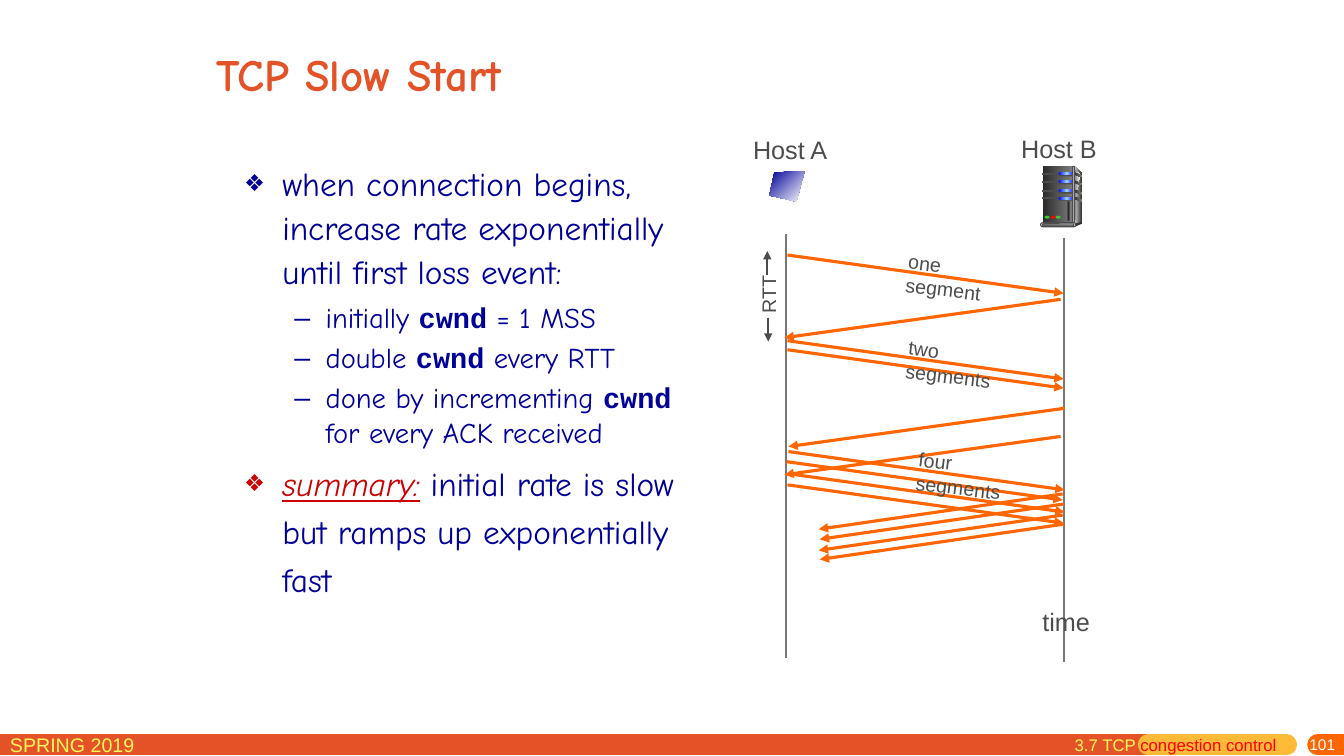
"""Build the TCP Slow Start slide with its host-to-host timing diagram."""
from lxml.etree import SubElement
from pptx import Presentation
from pptx.dml.color import RGBColor
from pptx.enum.shapes import MSO_CONNECTOR, MSO_SHAPE
from pptx.enum.text import MSO_ANCHOR, MSO_AUTO_SIZE, PP_ALIGN
from pptx.oxml.ns import qn
from pptx.util import Inches, Pt

ORANGE, RED_ORANGE, NAVY, RED = "FF6600", "E45327", "000099", "CC0000"
GRAY, DARK, YELLOW = "4C4C4C", "292929", "FFF65C"
HAND, CODE, SANS = "Comic Neue", "Courier New", "Arial"

PLAIN, CWND, SUMMARY = (HAND, NAVY, False), (CODE, NAVY, True), (HAND, RED, False)
POINTS = [
    (0, 1.1, [("when connection begins, increase rate exponentially "
               "until first loss event:", PLAIN)]),
    (1, 1.1, [("initially ", PLAIN), ("cwnd", CWND), (" = 1 MSS", PLAIN)]),
    (1, 1.0, [("double ", PLAIN), ("cwnd", CWND), (" every RTT", PLAIN)]),
    (1, 1.0, [("done by incrementing ", PLAIN), ("cwnd", CWND),
              (" for every ACK received", PLAIN)]),
    (0, 1.2, [("summary:", SUMMARY),
              (" initial rate is slow but ramps up exponentially fast", PLAIN)]),
]
LEVELS = [(23.8, 0.38, 0.38, "❖", 70), (20.4, 0.81, 0.31, "–", 100)]

FOOTER_BANDS = [(0, 11.39, RED_ORANGE, "flat"), (11.39, 12.76, "FFBA37", "rnd"),
                (13.07, 13.33, ORANGE, "rnd")]
LABELS = [
    ("Host A", 7.37, 1.28, 0.95, 0.4, 18, 0),
    ("Host B", 10.03, 1.27, 0.95, 0.4, 18, 0),
    ("time", 10.24, 5.97, 0.67, 0.4, 18, 0),
    ("RTT", 7.33, 2.75, 0.58, 0.33, 14, 270),
]
SEGMENT_LABELS = [("one segment", 8.91, 2.49, 1.32), ("two segments", 8.91, 3.35, 1.4),
                  ("four segments", 9.01, 4.46, 1.43)]
TIMELINES = [(7.8, 2.32), (10.55, 2.36)]
TIMELINE_LENGTH = 4.21
RTT_ARROWS = [(7.61, 2.73, -0.24), (7.62, 3.15, 0.24)]
SEGMENTS = [(7.81, 2.53), (7.81, 3.38), (7.81, 3.47), (7.82, 4.48), (7.8, 4.58),
            (7.82, 4.7), (7.81, 4.81)]
ACKS = [(10.52, 2.97), (10.56, 4.05), (10.52, 4.33)]
LAST_ACKS = [(10.54, 4.9), (10.55, 5), (10.54, 5.11), (10.55, 5.2)]
FLIGHTS = [(SEGMENTS, 2.74, 0.38), (ACKS, -2.74, 0.38), (LAST_ACKS, -2.42, 0.35)]

LAPTOP = [(7.98, 1.7), (7.68, 1.71), (7.63, 1.94), (7.9, 2)]
SERVER_SIDE = [(10.66, 1.65), (10.73, 1.72), (10.73, 2.2), (10.65, 2.22)]
SERVER_SHEEN = [(10.66, 1.69), (10.68, 1.7), (10.71, 1.73), (10.68, 1.93), (10.66, 2.21)]
SERVER_FOOT = [(10.66, 2.22), (10.66, 2.25), (10.73, 2.22), (10.73, 2.2)]
VENT = [(10.65, 0), (10.73, 0.03), (10.73, 0.05), (10.65, 0.02)]
TRAY_TOPS = [1.71, 1.79, 1.88, 1.95]
STATUS_LIGHTS = [(10.36, "33CC33"), (10.42, "FF0000"), (10.47, "33CC33")]
SHADE, EDGE = [DARK, "808080"], ["333333", "DDDDDD", "333333"]
BLUE_GLOW = ["0000FF", "99CCFF", "0000FF"]


def rgb(color):
    return RGBColor.from_string(color)


def paint(shape, fill, outline=None, angle=0):
    shape.shadow.inherit = False
    if isinstance(fill, str):
        shape.fill.solid()
        shape.fill.fore_color.rgb = rgb(fill)
    else:
        shape.fill.gradient()
        gradient = shape._element.spPr.find(qn("a:gradFill"))
        for child in list(gradient):
            gradient.remove(child)
        stops = SubElement(gradient, qn("a:gsLst"))
        for index, color in enumerate(fill):
            stop = SubElement(stops, qn("a:gs"), pos=str(100000 * index // (len(fill) - 1)))
            SubElement(stop, qn("a:srgbClr"), val=color)
        SubElement(gradient, qn("a:lin"), ang=str(angle * 60000), scaled="0")
    if outline:
        shape.line.color.rgb = rgb(outline)
        shape.line.width = Pt(0.75)
    else:
        shape.line.fill.background()


def add_block(kind, left, top, width, height, fill, outline=None):
    block = slide.shapes.add_shape(kind, *map(Inches, (left, top, width, height)))
    if kind == MSO_SHAPE.ROUNDED_RECTANGLE:
        block.adjustments[0] = 0.5
    paint(block, fill, outline)


def add_outline(corners, fill, angle=0):
    first, *rest = [(Inches(x), Inches(y)) for x, y in corners]
    builder = slide.shapes.build_freeform(*first)
    builder.add_line_segments(rest, close=True)
    paint(builder.convert_to_shape(), fill, angle=angle)


def add_line(x1, y1, x2, y2, color, width, arrow=False, cap=None):
    line = slide.shapes.add_connector(MSO_CONNECTOR.STRAIGHT, *map(Inches, (x1, y1, x2, y2)))
    line.line.color.rgb = rgb(color)
    line.line.width = Pt(width)
    stroke = line.line._get_or_add_ln()
    if cap:
        stroke.set("cap", cap)
    if arrow:
        SubElement(stroke, qn("a:tailEnd"), type="triangle")
    SubElement(line._element.spPr, qn("a:effectLst"))


def style(run, size, font, color, bold=False):
    run.font.size = Pt(size)
    run.font.name = font
    run.font.color.rgb = rgb(color)
    run.font.bold = bold


def add_label(text, left, top, width, height, size, color=GRAY, rotation=0, wrap=False):
    label = slide.shapes.add_textbox(*map(Inches, (left, top, width, height)))
    label.rotation = rotation
    label.text_frame.word_wrap = wrap
    label.text_frame.text = text
    style(label.text_frame.paragraphs[0].runs[0], size, SANS, color)
    return label.text_frame


def place(holder, left, top, width, height):
    holder.left, holder.top, holder.width, holder.height = map(
        Inches, (left, top, width, height))
    holder.text_frame.auto_size = MSO_AUTO_SIZE.NONE


def write_points(frame):
    for index, (level, spacing, parts) in enumerate(POINTS):
        size, margin, hang, bullet, bullet_size = LEVELS[level]
        point = frame.paragraphs[0] if index == 0 else frame.add_paragraph()
        point.level = level
        properties = point._p.get_or_add_pPr()
        properties.set("marL", str(Inches(margin)))
        properties.set("indent", str(-Inches(hang)))
        SubElement(properties, qn("a:buSzPct"), val=str(bullet_size * 1000))
        SubElement(properties, qn("a:buChar"), char=bullet)
        point.line_spacing = spacing
        point.space_before = Pt(round(size * 0.2, 1) if index else 0)
        for text, (font, color, bold) in parts:
            run = point.add_run()
            run.text = text
            style(run, size, font, color, bold)
            run.font.italic = run.font.underline = color == RED


def draw_server():
    add_outline(SERVER_SIDE, ["DDDDDD", "333333"])
    add_block(MSO_SHAPE.RECTANGLE, 10.34, 1.65, 0.31, 0.57, SHADE)
    add_outline(SERVER_SHEEN, ["808080", "F8F8F8"])
    for top in TRAY_TOPS:
        add_block(MSO_SHAPE.RECTANGLE, 10.34, top + 0.01, 0.18, 0.01, GRAY, GRAY)
        add_block(MSO_SHAPE.ROUNDED_RECTANGLE, 10.49, top, 0.17, 0.04, GRAY)
        add_block(MSO_SHAPE.ROUNDED_RECTANGLE, 10.5, top, 0.16, 0.03, BLUE_GLOW)
        add_outline([(x, top + drop) for x, drop in VENT], SHADE)
    add_block(MSO_SHAPE.RECTANGLE, 10.64, 1.65, 0.02, 0.57, EDGE, GRAY)
    add_block(MSO_SHAPE.OVAL, 10.72, 2.2, 0.01, 0.02, "333333")
    add_outline(SERVER_FOOT, "333333")
    add_block(MSO_SHAPE.ROUNDED_RECTANGLE, 10.32, 2.21, 0.35, 0.04, "DDDDDD", GRAY)
    add_block(MSO_SHAPE.ROUNDED_RECTANGLE, 10.34, 2.22, 0.31, 0.02, ["777777", "B2B2B2"], GRAY)
    for left, color in STATUS_LIGHTS:
        add_block(MSO_SHAPE.OVAL, left, 2.14, 0.05, 0.03, color)
    add_block(MSO_SHAPE.RECTANGLE, 10.59, 2, 0.02, 0.19, DARK, GRAY)


deck = Presentation()
deck.slide_width, deck.slide_height = Inches(13.33), Inches(7.5)
slide = deck.slides.add_slide(deck.slide_layouts[1])
title, body = slide.placeholders

for start, end, color, cap in FOOTER_BANDS:
    add_line(start, 7.39, end, 7.39, color, 15, cap=cap)
add_label("SPRING 2019", 0, 7.22, 2.29, 0.31, 14, YELLOW)
page = add_label("101", 10.75, 7.32, 2.59, 0.18, 11, "FFFFFF", wrap=True)
page.margin_top, page.margin_bottom = 0, Inches(0.05)
page.vertical_anchor = MSO_ANCHOR.MIDDLE
page.paragraphs[0].alignment = PP_ALIGN.RIGHT

place(title, 2.05, 0.16, 8.5, 1.14)
title.text_frame.text = "TCP Slow Start"
title.text_frame.vertical_anchor = MSO_ANCHOR.MIDDLE
title.text_frame.paragraphs[0].alignment = PP_ALIGN.LEFT
style(title.text_frame.paragraphs[0].runs[0], 32, HAND, RED_ORANGE, True)
place(body, 2.32, 1.53, 4.65, 5.08)
write_points(body.text_frame)

for x, top in TIMELINES:
    add_line(x, top, x, top + TIMELINE_LENGTH, "777777", 1.5)
for x, y, reach in RTT_ARROWS:
    add_line(x, y, x, y + reach, GRAY, 1.5, arrow=True)
for starts, run_across, fall in FLIGHTS:
    for x, y in starts:
        add_line(x, y, x + run_across, y + fall, ORANGE, 2.25, arrow=True)
for text, left, top, width, height, size, rotation in LABELS:
    add_label(text, left, top, width, height, size, rotation=rotation)
for text, left, top, width in SEGMENT_LABELS:
    caption = add_label(text, left, top, width, 0.33, 14, rotation=6.8, wrap=True)
    caption.margin_right = Inches(0.3)
add_outline(LAPTOP, [NAVY, "FFFFFF"], angle=45)
draw_server()

section = add_label("3.7 TCP ", 10.56, 7.24, 2.33, 0.31, 12, YELLOW, wrap=True)
topic = section.paragraphs[0].add_run()
topic.text = "congestion control"
style(topic, 12, SANS, "FF0000")

deck.save("out.pptx")
